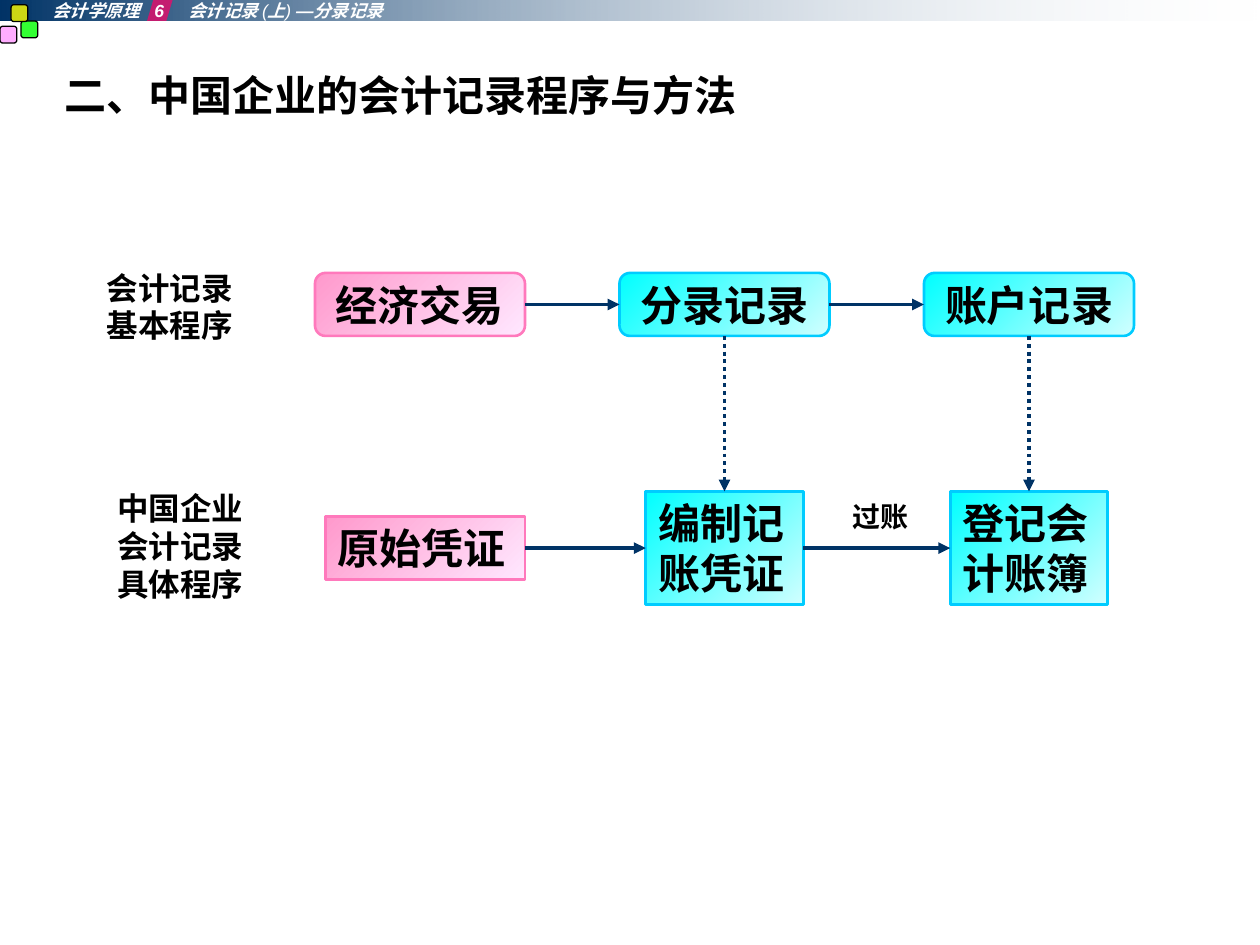
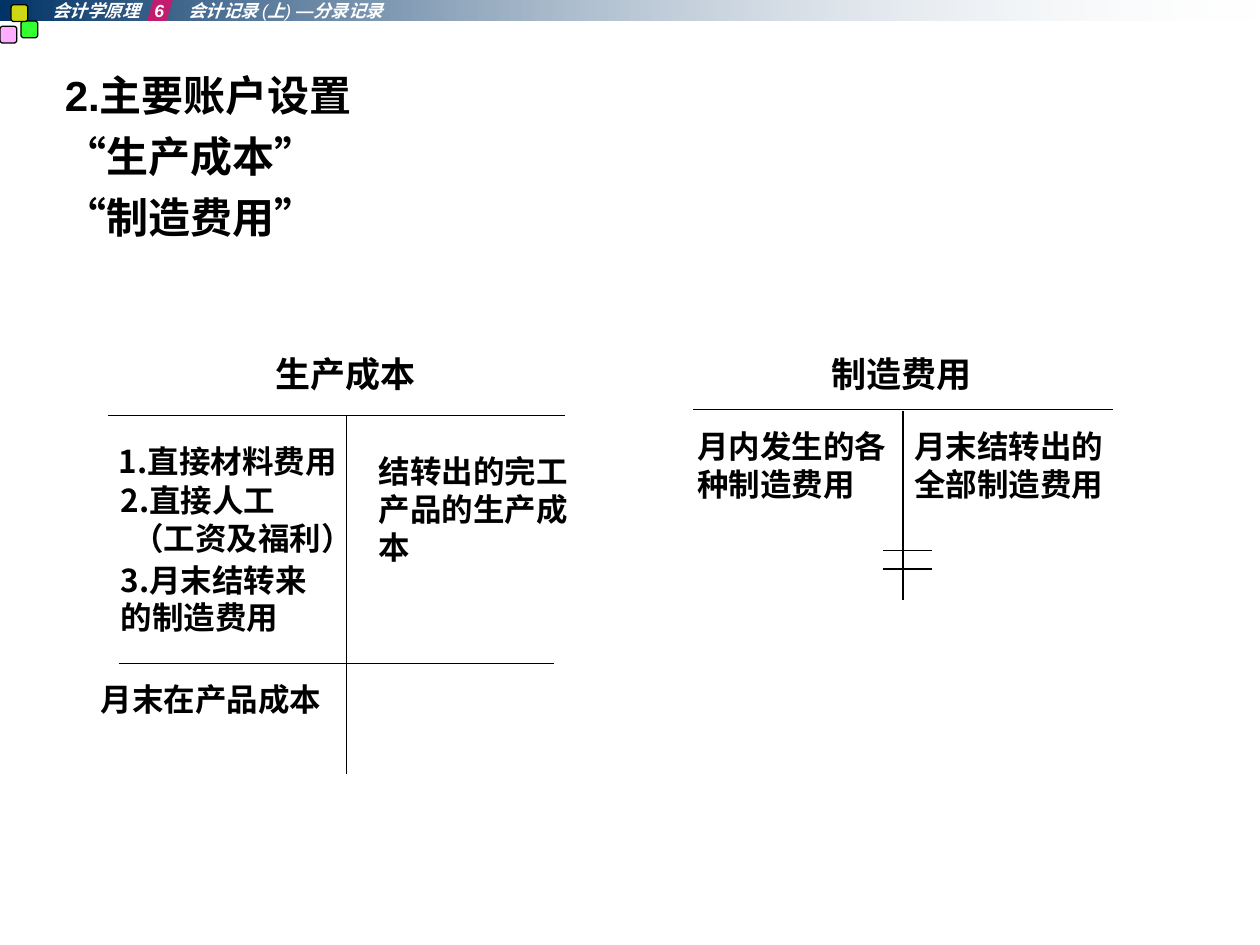
from lxml.etree import SubElement
from pptx import Presentation
from pptx.dml.color import RGBColor
from pptx.enum.dml import MSO_LINE
from pptx.enum.shapes import MSO_CONNECTOR, MSO_SHAPE
from pptx.enum.text import MSO_ANCHOR, PP_ALIGN
from pptx.oxml.ns import qn
from pptx.util import Inches, Pt

deck = Presentation()
deck.slide_width = Inches(10)
deck.slide_height = Inches(7.5)
unit = deck.slide_width / 120

NAVY, BLACK, WHITE = "003366", "000000", "FFFFFF"
PINK = ("FF99CC", "FFE7FF")
CYAN = ("00FFFF", "D1FFFF")
ROSE, SKY = "FF79BC", "00CCFF"
CJK = "Noto Sans CJK SC"
TIMES = "Times New Roman"
LEFT, MID = PP_ALIGN.LEFT, PP_ALIGN.CENTER


def paint(fill, *tones, alphas=(100, 100), angle=0):
    if len(tones) == 1:
        fill.solid()
        colors = [fill.fore_color]
    else:
        fill.gradient()
        fill.gradient_angle = angle
        colors = [stop.color for stop in fill.gradient_stops]
    for color, tone, alpha in zip(colors, tones, alphas):
        color.rgb = RGBColor.from_string(tone)
        if alpha < 100:
            node = color._color._xClr
            SubElement(node, qn("a:alpha")).set("val", str(alpha * 1000))


def put(slide, area, lines=(), kind=None, size=18, font="Arial", tone=BLACK,
        aligns=(LEFT,), pad=(0.1, 0.05), stops=(), **look):
    place = [round(v * unit) for v in area]
    if kind is None:
        item = slide.shapes.add_textbox(*place)
    else:
        item = slide.shapes.add_shape(kind, *place)
        item.shadow.inherit = False
        item.line.fill.background()
    frame = item.text_frame
    frame.word_wrap = True
    frame.vertical_anchor = MSO_ANCHOR.TOP
    frame.margin_left = frame.margin_right = Inches(pad[0])
    frame.margin_top = frame.margin_bottom = Inches(pad[1])
    for row, line in enumerate(lines):
        para = frame.add_paragraph() if row else frame.paragraphs[0]
        para.alignment = aligns[min(row, len(aligns) - 1)]
        if stops:
            tabs = SubElement(para._p.get_or_add_pPr(), qn("a:tabLst"))
            for stop in stops:
                tab = SubElement(tabs, qn("a:tab"))
                tab.set("pos", str(Inches(stop)))
                tab.set("algn", "l")
        for part, words in enumerate(line.split("|")):
            run = para.add_run()
            run.text = words
            style = {"size": Pt(size), "name": font, "bold": part % 2 == 0, **look}
            for key, value in style.items():
                setattr(run.font, key, value)
            paint(run.font.fill, tone)
            SubElement(run._r.get_or_add_rPr(), qn("a:ea")).set("typeface", CJK)
    return item


titles = [
    ["二、中国企业的会计记录程序与方法"],
    ["2.主要账户设置", "“生产成本”", "“制造费用”"],
]
tiles = [(0, 2.5, "FF99FF"), (2, 2, "00FF00"), (1.05, 0.45, "FFFF00")]

for title in titles:
    slide = deck.slides.add_slide(deck.slide_layouts[6])
    band = put(slide, (0, 0, 120, 2), kind=MSO_SHAPE.RECTANGLE)
    paint(band.fill, NAVY, "E7ECF1", alphas=(100, 0))
    for x, y, tone in tiles:
        tile = put(slide, (x, y, 1.6, 1.6), kind=MSO_SHAPE.ROUNDED_RECTANGLE)
        paint(tile.fill, tone, alphas=(80,))
        paint(tile.line.fill, BLACK)
        tile.line.width = Pt(0.75)
    flag = put(slide, (14, -0.2, 2.5, 2.2), kind=MSO_SHAPE.PARALLELOGRAM)
    flag.adjustments[0] = 0.3
    paint(flag.fill, "FF0066", alphas=(70,))
    put(slide, (5, 0, 35, 2), ["会计学原理\t6\t会计记录 |(|上|) |—分录记录"],
        size=10, tone=WHITE, pad=(0, 0), stops=(0.81, 1.08), italic=True)
    head = put(slide, (5, 6, 110, 79), title, size=24)
    for row, para in enumerate(head.text_frame.paragraphs):
        props = para._p.get_or_add_pPr()
        props.set("marL", str(Inches(0.38)))
        props.set("indent", str(-Inches(0.38)))
        if row:
            para.space_before = Pt(6)
            para.runs[0].font.name = CJK

flow, books = deck.slides

put(flow, (9, 25, 15, 8.4), ["会计记录基本程序"])
put(flow, (10, 46, 15, 12), ["中国企业会计记录具体程序"])
put(flow, (80, 47, 9, 4.4), ["过账"], size=16)

steps = []
for col, words in enumerate(["经济交易", "分录记录", "账户记录"]):
    step = put(flow, (30 + 29 * col, 26, 20, 6), [words],
               MSO_SHAPE.ROUNDED_RECTANGLE, 24, aligns=(MID,))
    step.text_frame.word_wrap = False
    step.text_frame.vertical_anchor = MSO_ANCHOR.MIDDLE
    steps.append(step)

papers = []
forms = [("原始凭证", 31, 19, 6), ("编制记账凭证", 61.5, 15, 10.8),
         ("登记会计账簿", 90.5, 15, 10.8)]
for words, x, wide, tall in forms:
    papers.append(put(flow, (x, 52.2 - tall / 2, wide, tall), [words],
                      MSO_SHAPE.RECTANGLE, 24))

for group in (steps, papers):
    for col, box in enumerate(group):
        paint(box.fill, *(CYAN if col else PINK), angle=315)
        paint(box.line.fill, SKY if col else ROSE)
        box.line.width = Pt(1.5)

links = [(row[i], 3, row[i + 1], 1) for row in (steps, papers) for i in (0, 1)]
links += [(steps[i], 2, papers[i], 0) for i in (1, 2)]
for start, out, end, into in links:
    arrow = flow.shapes.add_connector(MSO_CONNECTOR.STRAIGHT, 0, 0, 0, 0)
    arrow.begin_connect(start, out)
    arrow.end_connect(end, into)
    paint(arrow.line.fill, NAVY)
    arrow.line.width = Pt(2.25)
    if out == 2:
        arrow.line.dash_style = MSO_LINE.ROUND_DOT
    props = arrow._element.spPr
    SubElement(props.find(qn("a:ln")), qn("a:tailEnd")).set("type", "triangle")
    SubElement(props, qn("a:effectLst"))

rules = [
    (10.3, 39.6, 53.8, 39.6), (33, 39.6, 33, 73.7), (11.3, 63.2, 52.8, 63.2),
    (66, 39, 106, 39), (86, 39.1, 86, 57.1),
    (84.1, 52.4, 88.8, 52.4), (84.1, 54.2, 88.8, 54.2),
]
for ends in rules:
    rule = books.shapes.add_connector(
        MSO_CONNECTOR.STRAIGHT, *[round(v * unit) for v in ends])
    paint(rule.line.fill, BLACK)
    rule.line.width = Pt(0.75)
    SubElement(rule._element.spPr, qn("a:effectLst"))

notes = [
    ((23, 33, 19.8, 5.3), ["生产成本"], 20, CJK, (MID,)),
    ((10.3, 45.2, 25.6, 8.4), ["2.直接人工", "（工资及福利）"], 18, CJK, (LEFT, MID)),
    ((9.4, 41.5, 24.6, 8.4), ["1.直接材料费用"], 18, CJK, (MID,)),
    ((10.3, 52.8, 21.7, 8.4), ["3.月末结转来的制造费用"], 18, CJK, (LEFT,)),
    ((34.9, 42.5, 20.8, 12), ["结转出的完工产品的生产成本"], 18, CJK, (LEFT,)),
    ((8.4, 64.2, 24.6, 4.8), ["月末在产品成本"], 18, CJK, (LEFT,)),
    ((75, 33, 21.7, 5.3), ["制造费用"], 20, TIMES, (MID,)),
    ((65.2, 40.1, 20.8, 8.4), ["月内发生的各种制造费用"], 18, TIMES, (LEFT,)),
    ((85.9, 40.1, 20.8, 8.4), ["月末结转出的全部制造费用"], 18, TIMES, (LEFT,)),
]
for area, lines, size, font, aligns in notes:
    put(books, area, lines, size=size, font=font, aligns=aligns)

deck.save("out.pptx")
